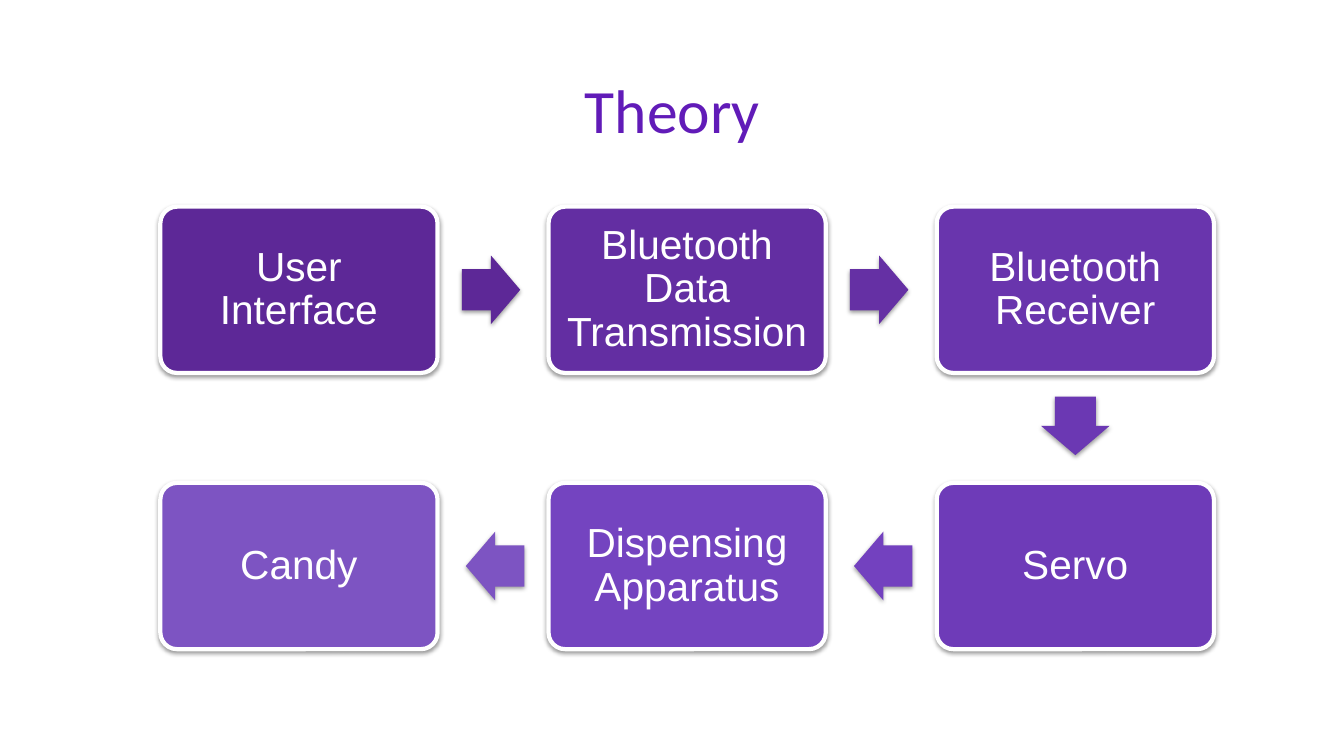
from pptx import Presentation
from pptx.dml.color import RGBColor
from pptx.enum.shapes import MSO_SHAPE
from pptx.enum.text import MSO_ANCHOR, PP_ALIGN
from pptx.oxml import parse_xml
from pptx.oxml.ns import nsdecls, qn
from pptx.util import Inches, Pt

ROUNDED = MSO_SHAPE.ROUNDED_RECTANGLE
ARROW = MSO_SHAPE.RIGHT_ARROW
MIDDLE = MSO_ANCHOR.MIDDLE
CENTER = PP_ALIGN.CENTER

COLORS = {"title": "611BB8", "white": "FFFFFF", "shadow": "000000"}
LEFT, TOP = 1.59, 2.05
BOX_WIDTH, BOX_HEIGHT = 2.75, 1.65
COLUMN_STEP, ROW_STEP = 3.85, 2.74
ARROW_LENGTH, ARROW_WIDTH = 0.58, 0.68
ARROW_SHIFT = 0.02
INSET = 0.11

STEPS = [
    ("User Interface", 0, 0, "5D2897", "5D2897"),
    ("Bluetooth Data Transmission", 1, 0, "632EA2", "6530A4"),
    ("Bluetooth Receiver", 2, 0, "6935AD", "6B38B3"),
    ("Servo", 2, 1, "6E3BB8", "7341BF"),
    ("Dispensing Apparatus", 1, 1, "7444C0", "7D54C2"),
    ("Candy", 0, 1, "7D54C2", None),
]
ROTATIONS = {(1, 0): 0, (0, 1): 90, (-1, 0): 180}


def add_filled_shape(kind, center_x, center_y, width, height, color):
    shape = slide.shapes.add_shape(
        kind, Inches(center_x - width / 2), Inches(center_y - height / 2),
        Inches(width), Inches(height))
    shape.fill.solid()
    shape.fill.fore_color.rgb = RGBColor.from_string(color)
    shape.line.fill.background()
    shape.shadow.inherit = False
    effects = shape._element.spPr.find(qn("a:effectLst"))
    effects.append(parse_xml(
        f'<a:outerShdw {nsdecls("a")} blurRad="40000" dist="20000" dir="5400000" rotWithShape="0">'
        f'<a:srgbClr val="{COLORS["shadow"]}"><a:alpha val="38000"/></a:srgbClr></a:outerShdw>'))
    return shape


def write_text(frame, text, font_name, size, color):
    frame.word_wrap = True
    frame.vertical_anchor = MIDDLE
    para = frame.paragraphs[0]
    para.text = text
    para.alignment = CENTER
    para.line_spacing = 0.9
    para.font.name = font_name
    para.font.size = Pt(size)
    para.font.color.rgb = RGBColor.from_string(color)


deck = Presentation()
deck.slide_width, deck.slide_height = Inches(13.33), Inches(7.5)
slide = deck.slides.add_slide(deck.slide_layouts[6])

title = slide.shapes.add_textbox(Inches(0.92), Inches(0.4), Inches(11.5), Inches(1.45))
write_text(title.text_frame, "Theory", "Calibri", 44, COLORS["title"])

for index, (label, column, row, box_color, arrow_color) in enumerate(STEPS):
    center_x = LEFT + BOX_WIDTH / 2 + column * COLUMN_STEP
    center_y = TOP + BOX_HEIGHT / 2 + row * ROW_STEP
    box = add_filled_shape(ROUNDED, center_x, center_y, BOX_WIDTH, BOX_HEIGHT, box_color)
    box.adjustments[0] = 0.1
    box.line.color.rgb = RGBColor.from_string(COLORS["white"])
    box.line.width = Pt(3)
    frame = box.text_frame
    frame.margin_left = frame.margin_right = Inches(INSET)
    frame.margin_top = frame.margin_bottom = Inches(INSET)
    write_text(frame, label, "Arial", 29, COLORS["white"])

    if arrow_color:
        next_column, next_row = STEPS[index + 1][1:3]
        across, down = next_column - column, next_row - row
        arrow = add_filled_shape(
            ARROW,
            center_x + across * (COLUMN_STEP / 2 - ARROW_SHIFT),
            center_y + down * (ROW_STEP / 2 - ARROW_SHIFT),
            ARROW_LENGTH, ARROW_WIDTH, arrow_color)
        arrow.adjustments[0] = 0.6
        arrow.adjustments[1] = 0.5
        arrow.rotation = ROTATIONS[across, down]

deck.save("out.pptx")
